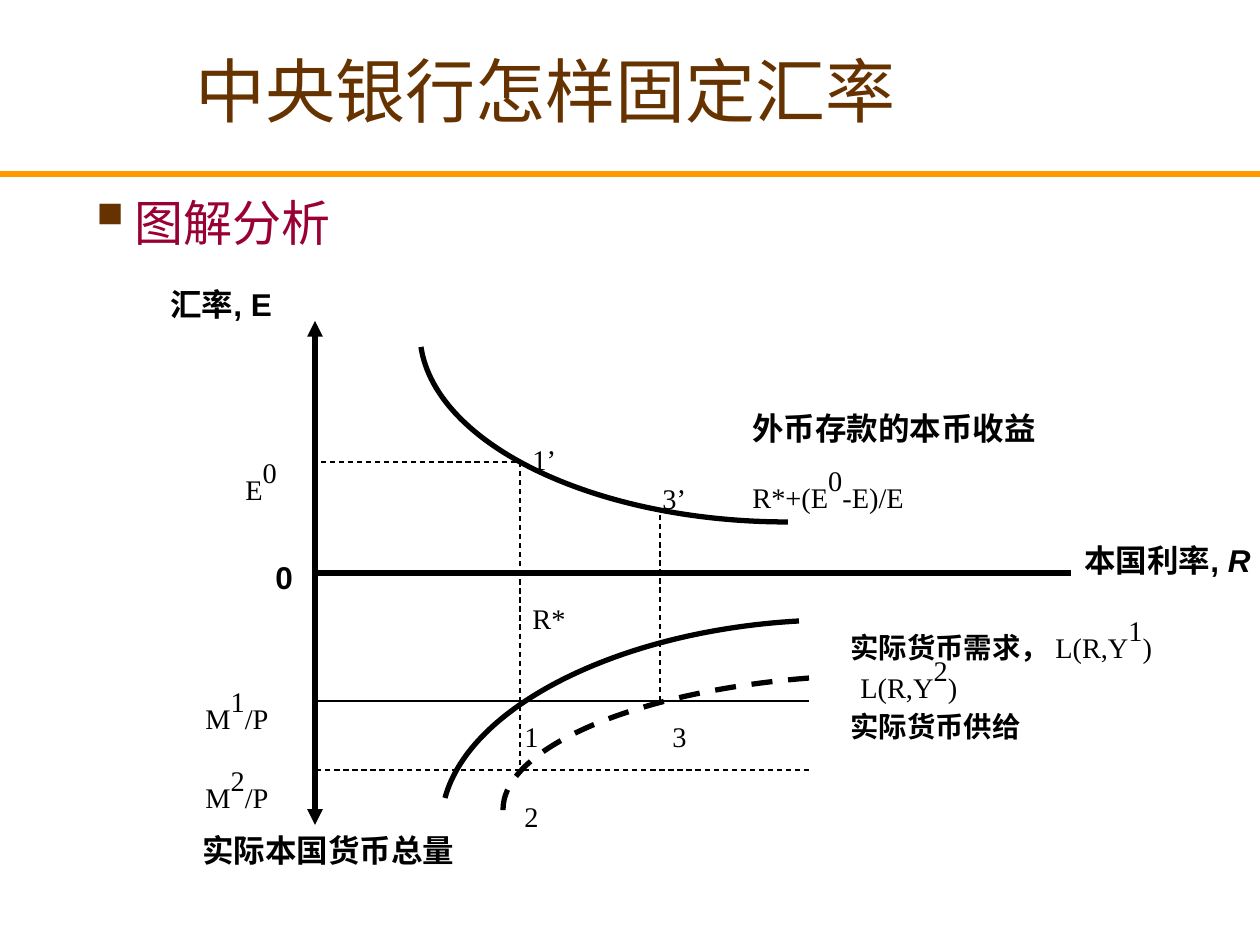
from lxml import etree
from pptx import Presentation
from pptx import util as u
from pptx.dml.color import RGBColor
from pptx.enum import dml, shapes, text
from pptx.oxml.ns import qn

SCALE = 914400 / 126  # EMU per px
W, H = 1260, 945
COLORS = {"title": "663300", "rule": "FF9900", "topic": "990033", "ink": "000000"}
SERIF, SANS = "Times New Roman", "Arial"

# Run styles: font, size, bold, italic, baseline shift in percent
STYLES = {
    "title": (SERIF, 40, False, False, 0),
    "topic": (SERIF, 28, False, False, 0),
    "head": (SANS, 18, True, False, 0),
    "var": (SANS, 18, True, True, 0),
    "low": (SERIF, 28, False, False, -25),
    "lowbold": (SERIF, 28, True, False, -25),
    "high": (SERIF, 28, False, False, 10),
}

TITLE = ((10, 10, 1071, 158), [[("中央银行怎样固定汇率", "title")]])
TOPIC = ((74, 186, 1134, 605), [[("图解分析", "topic")]])

# Axes, guides and the levels they share
AXIS_X, GUIDE_X, RIGHT = 315, 312, 809
ZERO_Y, E0_Y, M1_Y, M2_Y = 573, 462, 701, 770
X1, X3 = 520, 660
AXES = [((AXIS_X, 321), (AXIS_X, 825), True),
        ((AXIS_X, ZERO_Y), (1071, ZERO_Y), False)]
GUIDES = [  # from, to, dashed
    ((GUIDE_X, E0_Y), (X1, E0_Y), True),
    ((X1, E0_Y), (X1, M2_Y), True),
    ((RIGHT, M1_Y), (GUIDE_X, M1_Y), False),
    ((X3, M1_Y), (X3, 512), True),
    ((RIGHT, M2_Y), (GUIDE_X, M2_Y), True),
]

# Start, two control points, end, dashed
CURVES = [
    ((788, 522), (596, 522), (436, 445), (421, 347), False),
    ((799, 621), (620, 631), (470, 706), (445, 798), False),
    ((809, 678), (631, 692), (501, 750), (503, 811), True),
]

LABELS = [  # box, paragraphs of (text, style)
    ((190, 825, 513, 50), [[("实际本国货币总量", "head")]]),
    ((1072, 535, 231, 50), [[("本国利率, ", "head"), ("R", "var")]]),
    ((158, 279, 325, 50), [[("汇率, E", "head")]]),
    ((263, 552, 43, 50), [[("0", "head")]]),
    ((740, 403, 348, 117), [[("外币存款的本币收益", "head")],
                            [("R*+(E", "low"), ("0", "high"), ("-E)/E", "low")]]),
    ((233, 433, 79, 79), [[("E", "low"), ("0", "high")]]),
    ((193, 662, 110, 79), [[("M", "low"), ("1", "high"), ("/P", "low")]]),
    ((193, 741, 110, 79), [[("M", "low"), ("2", "high"), ("/P", "low")]]),
    ((512, 680, 40, 79), [[("1", "low")]]),
    ((660, 680, 40, 79), [[("3", "low")]]),
    ((512, 760, 40, 79), [[("2", "low")]]),
    ((520, 403, 59, 79), [[("1’", "low")]]),
    ((650, 442, 69, 79), [[("3’", "low")]]),
    ((520, 562, 120, 79), [[("R*", "low")]]),
    ((838, 670, 297, 79), [[("实际货币供给", "lowbold")]]),
    ((838, 591, 422, 79), [[("实际货币需求， ", "lowbold"), ("L(R,Y", "low"),
                            ("1", "high"), (")", "low")]]),
    ((848, 631, 228, 79), [[("L(R,Y", "low"), ("2", "high"), (")", "low")]]),
]


def px(n):
    return u.Emu(round(n * SCALE))


def rgb(name):
    return RGBColor.from_string(COLORS[name])


def add_text(s, box, paragraphs, color="ink"):
    tf = s.shapes.add_textbox(*map(px, box)).text_frame
    tf.word_wrap = True
    for i, runs in enumerate(paragraphs):
        p = tf.paragraphs[0] if i == 0 else tf.add_paragraph()
        for words, style in runs:
            r = p.add_run()
            r.text = words
            f = r.font
            f.name, size, f.bold, f.italic, shift = STYLES[style]
            f.size = u.Pt(size)
            f.color.rgb = rgb(color)
            if shift:
                r._r.get_or_add_rPr().set("baseline", str(shift * 1000))
    return tf


def set_line(sp, width, dashed=False, color="ink"):
    sp.line.color.rgb = rgb(color)
    sp.line.width = u.Pt(width)
    if dashed:
        sp.line.dash_style = dml.MSO_LINE.DASH


def add_line(s, start, end, width, dashed=False, color="ink", arrows=False):
    sp = s.shapes.add_connector(shapes.MSO_CONNECTOR.STRAIGHT, *map(px, start + end))
    set_line(sp, width, dashed, color)
    if arrows:
        ln = sp.line._get_or_add_ln()
        for tag in ("a:headEnd", "a:tailEnd"):
            etree.SubElement(ln, qn(tag), type="triangle")
    etree.SubElement(sp._element.spPr, qn("a:effectLst"))


def add_curve(s, start, c1, c2, end, dashed):
    fb = s.shapes.build_freeform(*start, scale=SCALE)
    fb.add_line_segments([c1, c2, end], close=False)
    sp = fb.convert_to_shape()
    sp.shadow.inherit = False
    sp.fill.background()
    set_line(sp, 3, dashed)
    # Turn the three segments into one cubic curve
    outline = sp._element.find(".//" + qn("a:path"))
    bezier = etree.SubElement(outline, qn("a:cubicBezTo"))
    for seg in outline.findall(qn("a:lnTo")):
        bezier.append(seg[0])
        outline.remove(seg)


def add_bullet(p):
    pPr = p._p.get_or_add_pPr()
    pPr.set("marL", str(px(48)))
    pPr.set("indent", str(-px(48)))
    clr = etree.SubElement(pPr, qn("a:buClr"))
    etree.SubElement(clr, qn("a:srgbClr"), val=COLORS["title"])
    etree.SubElement(pPr, qn("a:buSzPct"), val="130000")
    etree.SubElement(pPr, qn("a:buChar"), char="▪")


def main():
    prs = Presentation()
    prs.slide_width, prs.slide_height = px(W), px(H)
    s = prs.slides.add_slide(prs.slide_layouts[6])

    # Heading
    add_line(s, (0, 174), (W, 174), 3, color="rule")
    tf = add_text(s, *TITLE, color="title")
    tf.vertical_anchor = text.MSO_ANCHOR.MIDDLE
    tf.paragraphs[0].alignment = text.PP_ALIGN.CENTER
    add_bullet(add_text(s, *TOPIC, color="topic").paragraphs[0])

    # Diagram
    for start, end, arrows in AXES:
        add_line(s, start, end, 3, arrows=arrows)
    for curve in CURVES:
        add_curve(s, *curve)
    for start, end, dashed in GUIDES:
        add_line(s, start, end, 0.75, dashed)
    for box, paragraphs in LABELS:
        add_text(s, box, paragraphs)

    prs.save("out.pptx")


if __name__ == "__main__":
    main()
